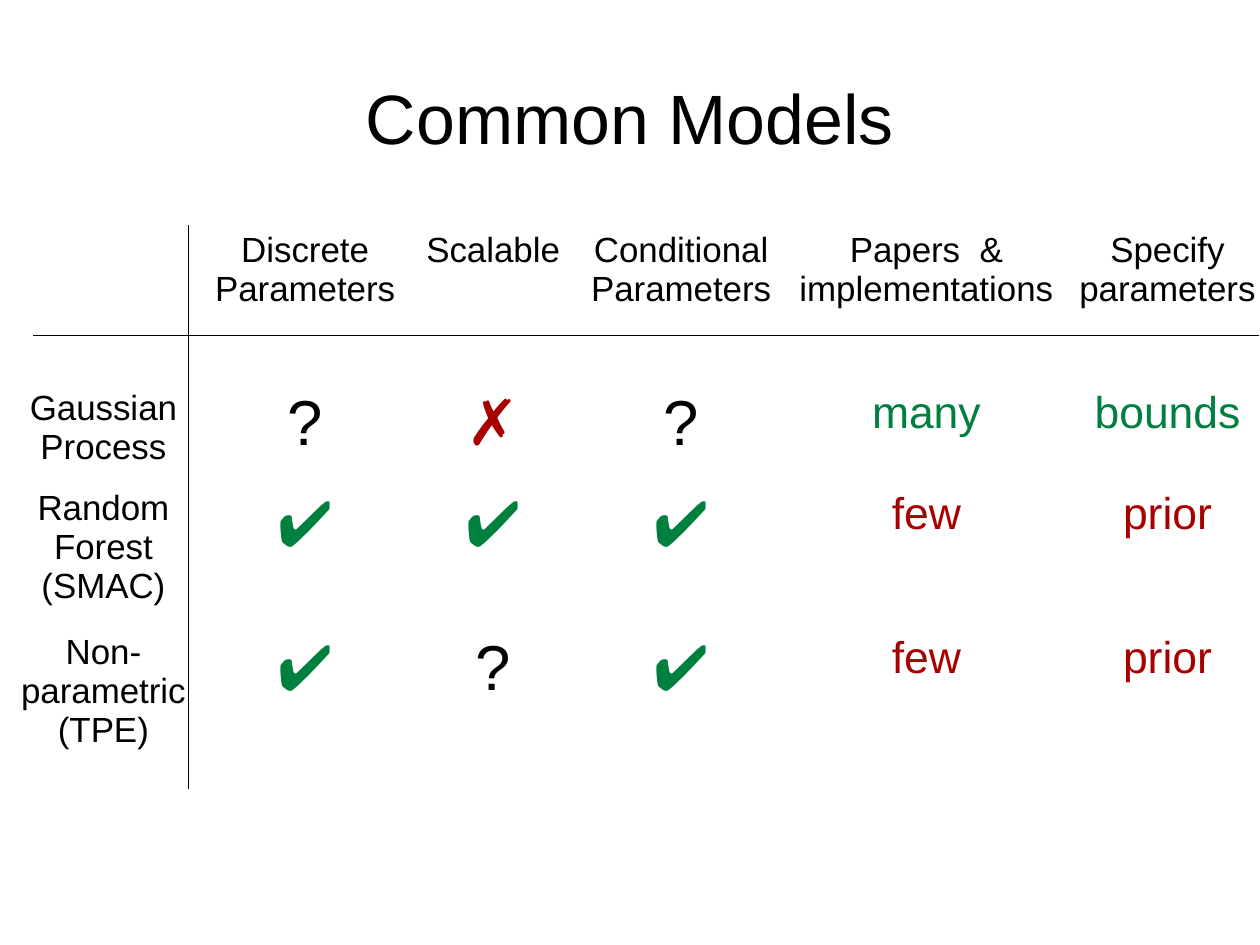
import dataclasses

import lxml.etree
import pptx
import pptx.dml.color
import pptx.enum.shapes
import pptx.enum.text
import pptx.oxml.ns
import pptx.util

Inches = pptx.util.Inches
Pt = pptx.util.Pt
qn = pptx.oxml.ns.qn

COLORS = {"black": "000000", "white": "FFFFFF", "good": "00803F", "bad": "A80000"}
PAGE_WIDTH, PAGE_HEIGHT = pptx.util.Cm(28), pptx.util.Cm(21)
TABLE_LEFT, TABLE_TOP = 0.06, 1.97
COLUMN_WIDTHS = [1.69, 1.84, 1.45, 1.84, 2.45, 1.77]
ROW_HEIGHTS = [1.38, 0.88, 1.26, 1.26]


@dataclasses.dataclass(frozen=True)
class Entry:
    words: str
    size: int = 22
    color: str = "black"


@dataclasses.dataclass(frozen=True)
class Rule:
    """A line between two (column, row) points of the grid."""
    start: tuple[float, float]
    end: tuple[float, float]


YES = Entry("✔", 40, "good")
NO = Entry("✗", 40, "bad")
UNSURE = Entry("?", 40)
FEW = Entry("few", 28, "bad")
PRIOR = Entry("prior", 28, "bad")

HEADINGS = ["", "Discrete Parameters", "Scalable", "Conditional Parameters",
            "Papers  & implementations", "Specify parameters"]
ENTRIES = [
    [Entry(heading) for heading in HEADINGS],
    [Entry("Gaussian Process"), UNSURE, NO, UNSURE,
     Entry("many", 28, "good"), Entry("bounds", 28, "good")],
    [Entry("Random Forest (SMAC)"), YES, YES, YES, FEW, PRIOR],
    [Entry("Non-parametric (TPE)"), YES, UNSURE, YES, FEW, PRIOR],
]
RULES = [Rule((0.14, 0.7), (5.95, 0.7)), Rule((0.94, 0), (0.94, 4.12))]


def rgb(name: str) -> pptx.dml.color.RGBColor:
    return pptx.dml.color.RGBColor.from_string(COLORS[name])


def set_all(target: object, values: dict) -> None:
    for name, value in values.items():
        setattr(target, name, value)


def grid_position(place: float, origin: float, sizes: list[float]) -> int:
    """Turn a fractional column or row number into a length on the slide."""
    index = min(int(place), len(sizes) - 1)
    return Inches(origin + sum(sizes[:index]) + (place - index) * sizes[index])


def write_centred(frame, entry: Entry) -> None:
    para = frame.paragraphs[0]
    para.alignment = pptx.enum.text.PP_ALIGN.CENTER
    span = para.add_run()
    span.text = entry.words
    set_all(span.font, {"name": "Arial", "size": Pt(entry.size)})
    span.font.color.rgb = rgb(entry.color)


def add_title(page) -> None:
    box = page.shapes.title
    set_all(box, {
        "left": int(0.05 * PAGE_WIDTH), "top": int(0.04 * PAGE_HEIGHT),
        "width": int(0.9 * PAGE_WIDTH), "height": PAGE_HEIGHT // 6})
    set_all(box.text_frame, {
        "margin_left": 0, "margin_right": 0, "margin_top": 0, "margin_bottom": 0,
        "word_wrap": True,
        "vertical_anchor": pptx.enum.text.MSO_ANCHOR.MIDDLE,
        "auto_size": pptx.enum.text.MSO_AUTO_SIZE.SHAPE_TO_FIT_TEXT})
    write_centred(box.text_frame, Entry("Common Models", 44))


def border_cell(cell) -> None:
    properties = cell._tc.get_or_add_tcPr()
    for index, side in enumerate(("a:lnL", "a:lnR", "a:lnT", "a:lnB")):
        border = lxml.etree.Element(qn(side), w=str(Pt(0.06)))
        fill = lxml.etree.SubElement(border, qn("a:solidFill"))
        lxml.etree.SubElement(fill, qn("a:srgbClr"), val=COLORS["white"])
        properties.insert(index, border)


def add_models_table(page) -> None:
    table = page.shapes.add_table(
        len(ROW_HEIGHTS), len(COLUMN_WIDTHS), Inches(TABLE_LEFT), Inches(TABLE_TOP),
        Inches(sum(COLUMN_WIDTHS)), Inches(sum(ROW_HEIGHTS))).table
    set_all(table, {"first_row": False, "horz_banding": False})
    for column, width in zip(table.columns, COLUMN_WIDTHS):
        column.width = Inches(width)
    for row, height, entries in zip(table.rows, ROW_HEIGHTS, ENTRIES):
        row.height = Inches(height)
        for cell, entry in zip(row.cells, entries):
            cell.fill.solid()
            cell.fill.fore_color.rgb = rgb("white")
            border_cell(cell)
            if entry.words:
                write_centred(cell.text_frame, entry)


def add_hairline(page, rule: Rule) -> None:
    ends = [grid_position(place, origin, sizes)
            for point in (rule.start, rule.end)
            for place, origin, sizes in zip(
                point, (TABLE_LEFT, TABLE_TOP), (COLUMN_WIDTHS, ROW_HEIGHTS))]
    line = page.shapes.add_connector(pptx.enum.shapes.MSO_CONNECTOR.STRAIGHT, *ends)
    line.line.color.rgb = rgb("black")
    properties = line._element.spPr
    properties.find(qn("a:ln")).set("w", "0")
    lxml.etree.SubElement(properties, qn("a:effectLst"))


def main() -> None:
    deck = pptx.Presentation()
    set_all(deck, {"slide_width": PAGE_WIDTH, "slide_height": PAGE_HEIGHT})
    page = deck.slides.add_slide(deck.slide_layouts.get_by_name("Title Only"))
    add_title(page)
    add_models_table(page)
    for rule in RULES:
        add_hairline(page, rule)
    deck.save("out.pptx")


if __name__ == "__main__":
    main()
